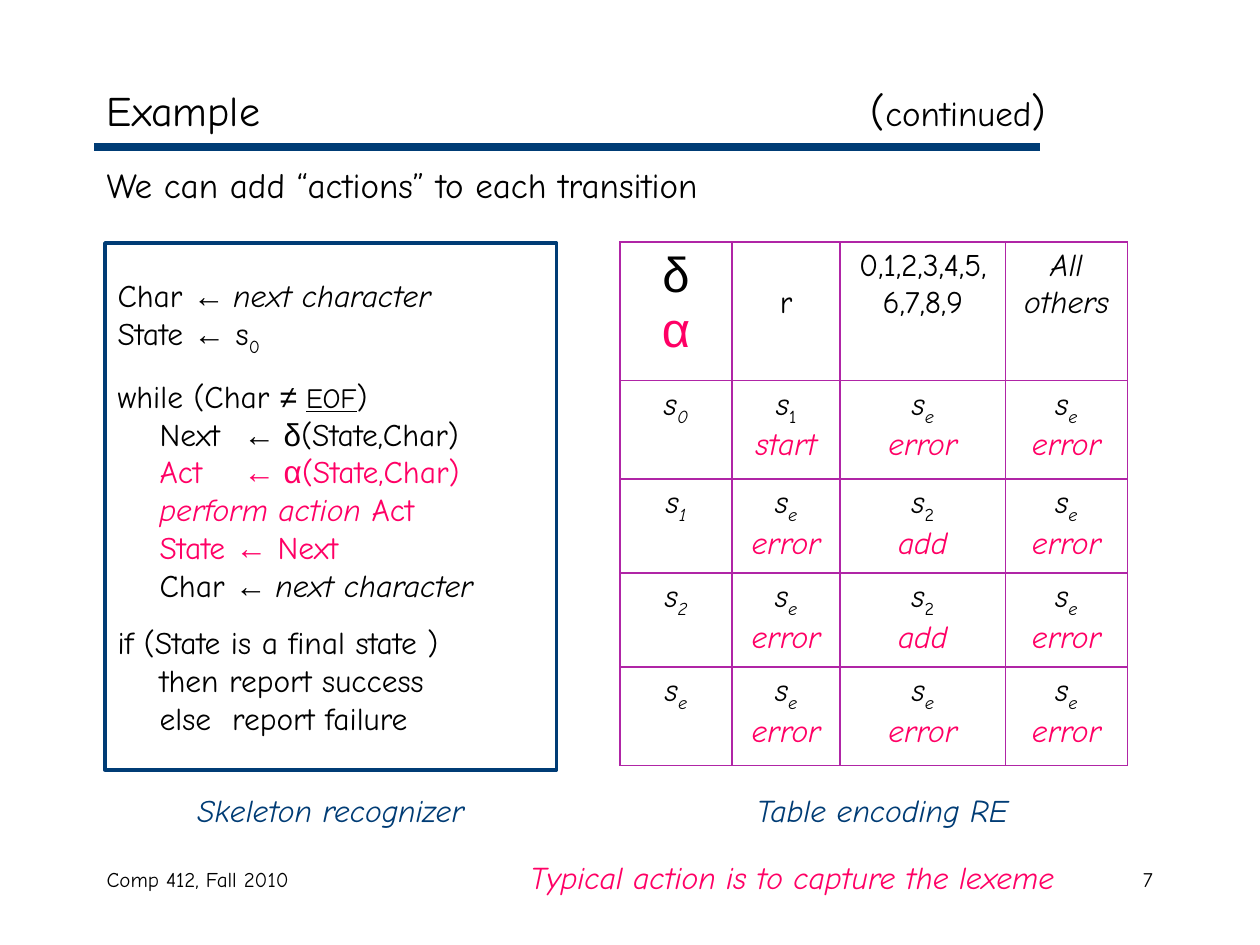
"""Build the scanner slide: a skeleton recognizer beside its action table."""
from lxml import etree
from pptx import Presentation
from pptx.dml.color import RGBColor
from pptx.enum import shapes, text
from pptx.oxml.ns import qn
from pptx.util import Cm, Pt

THEME = dict(font="Comic Neue", symbol="Arial", ink="000000", navy="003C75", pink="FF0065",
             grid="B025A6", title=24, lead=20, body=18, small=16, foot=12, greek=28)

TITLE = [("Example\t(", ""), ("continued", "lead"), (")", "")]
CODE = [
    [("Char ", ""), ("← ", "symbol"), ("next character", "italic")],
    [("State ", ""), ("←", "symbol"), (" s", ""), ("0", "sub")],
    [("while (Char ", ""), ("≠ ", "symbol"), ("EOF", "small under"), (")", "")],
    [("    Next \t", ""), ("← δ", "symbol"), ("(State,Char)", "")],
    [("    Act \t", "pink"), ("← α", "symbol pink"), ("(State,Char)", "pink")],
    [("    perform action ", "pink italic"), ("Act", "pink")],
    [("    State ", "pink"), ("←", "symbol pink"), (" Next", "pink")],
    [("    Char ", ""), ("← ", "symbol"), ("next character", "italic")],
    [("if (State is a final state )", "")],
    [("    then report success", "")],
    [("    else  report failure", "")],
]
BLOCK_STARTS = {2, 8}
HEADER = [
    [[("δ", "symbol greek")], [("α", "symbol greek pink")]],
    [[("r", "")]],
    [[("0,1,2,3,4,5,6,7,8,9", "")]],
    [[("All others", "italic")]],
]
STATES = [
    ("0", ("1", "start"), ("e", "error"), ("e", "error")),
    ("1", ("e", "error"), ("2", "add"), ("e", "error")),
    ("2", ("e", "error"), ("2", "add"), ("e", "error")),
    ("e", ("e", "error"), ("e", "error"), ("e", "error")),
]
COLS = [2.26, 2.18, 3.33, 2.46]
ROWS = [2.79, 1.98, 1.9, 1.9, 1.98]
LABELS = [
    ("We can add “actions” to each transition", (1.9, 3.18, 21.59, 1.1), "lead", "ink", "LEFT", False),
    ("Skeleton recognizer", (3.28, 15.82, 6.78, 1.02), "body", "navy", "CENTER", True),
    ("Table encoding RE", (14.4, 15.82, 6.78, 1.02), "body", "navy", "CENTER", True),
    ("Typical action is to capture the lexeme", (10.44, 17.17, 12.57, 1.02), "body", "pink", "LEFT", True),
    ("Comp 412, Fall 2010", (1.9, 17.35, 8.05, 1.27), "foot", "ink", "LEFT", False),
    ("7", (18.21, 17.35, 5.28, 1.27), "foot", "ink", "RIGHT", False),
]


def color(name):
    return RGBColor.from_string(THEME[name])


def write(p, runs, size="body", ink="ink", align="LEFT", italic=False, tab=None):
    p.alignment = getattr(text.PP_ALIGN, align)
    if tab:
        tabs = etree.SubElement(p._p.get_or_add_pPr(), qn("a:tabLst"))
        etree.SubElement(tabs, qn("a:tab"), pos=str(Cm(tab)), algn="l")
    p.font.name, p.font.size = THEME["font"], Pt(THEME[size])
    p.font.color.rgb, p.font.italic = color(ink), italic
    for words, style in runs:
        r = p.add_run()
        r.text = words
        for mark in style.split():
            if mark == "symbol":
                r.font.name = THEME["symbol"]
            elif mark == "pink":
                r.font.color.rgb = color("pink")
            elif mark == "italic":
                r.font.italic = True
            elif mark == "under":
                r.font.underline = True
            elif mark == "sub":
                r._r.get_or_add_rPr().set("baseline", "-25000")
            else:
                r.font.size = Pt(THEME[mark])


def write_all(tf, paragraphs, **look):
    for i, runs in enumerate(paragraphs):
        p = tf.add_paragraph() if i else tf.paragraphs[0]
        write(p, runs, **look)


def border(cell):
    pr = cell._tc.get_or_add_tcPr()
    for i, side in enumerate(("lnL", "lnR", "lnT", "lnB")):
        ln = etree.Element(qn("a:" + side), w=str(Pt(1.08)))
        fill = etree.SubElement(ln, qn("a:solidFill"))
        etree.SubElement(fill, qn("a:srgbClr"), val=THEME["grid"])
        pr.insert(i, ln)


def state_cells(name, *moves):
    yield [[("s", "italic"), (name, "sub italic")]]
    for target, action in moves:
        slant = " italic" if target == "e" else ""
        yield [[("s", "italic"), (target, "sub" + slant)], [(action, "pink italic")]]


def add_title(s):
    sp = s.shapes.title
    sp.left, sp.top, sp.width, sp.height = Cm(1.9), Cm(1.48), Cm(21.59), Cm(1.48)
    sp.text_frame.vertical_anchor = text.MSO_ANCHOR.MIDDLE
    write(sp.text_frame.paragraphs[0], TITLE, size="title", tab=15.4)
    rule = s.shapes.add_connector(shapes.MSO_CONNECTOR.STRAIGHT, Cm(1.9), Cm(2.97), Cm(20.96), Cm(2.97))
    rule.line.color.rgb, rule.line.width = color("navy"), Pt(4.5)
    etree.SubElement(rule._element.spPr, qn("a:effectLst"))


def add_table(s):
    tbl = s.shapes.add_table(len(ROWS), len(COLS), Cm(12.5), Cm(4.88), Cm(sum(COLS)), Cm(sum(ROWS))).table
    tbl.first_row = tbl.horz_banding = False
    for col, width in zip(tbl.columns, COLS):
        col.width = Cm(width)
    for row, height in zip(tbl.rows, ROWS):
        row.height = Cm(height)
    for i, row in enumerate([HEADER] + [state_cells(*state) for state in STATES]):
        for j, paragraphs in enumerate(row):
            cell = tbl.cell(i, j)
            cell.fill.background()
            border(cell)
            write_all(cell.text_frame, paragraphs, align="CENTER")
    tbl.cell(0, 1).margin_top = Cm(0.86)


def add_code(s):
    sp = s.shapes.add_shape(shapes.MSO_SHAPE.RECTANGLE, Cm(2.12), Cm(4.9), Cm(9.1), Cm(10.62))
    sp.shadow.inherit = False
    sp.fill.background()
    sp.line.color.rgb, sp.line.width = color("navy"), Pt(2.25)
    tf = sp.text_frame
    tf.word_wrap, tf.vertical_anchor = True, text.MSO_ANCHOR.MIDDLE
    write_all(tf, CODE, tab=2.54)
    for i in BLOCK_STARTS:
        tf.paragraphs[i].space_before = Pt(11.2)


def add_labels(s):
    for words, place, size, ink, align, italic in LABELS:
        tf = s.shapes.add_textbox(*map(Cm, place)).text_frame
        tf.word_wrap = True
        write(tf.paragraphs[0], [(words, "")], size, ink, align, italic)


def main():
    prs = Presentation()
    prs.slide_width, prs.slide_height = Cm(25.4), Cm(19.05)
    s = prs.slides.add_slide(prs.slide_layouts[5])
    add_title(s)
    add_table(s)
    add_code(s)
    add_labels(s)
    prs.save("out.pptx")


if __name__ == "__main__":
    main()
